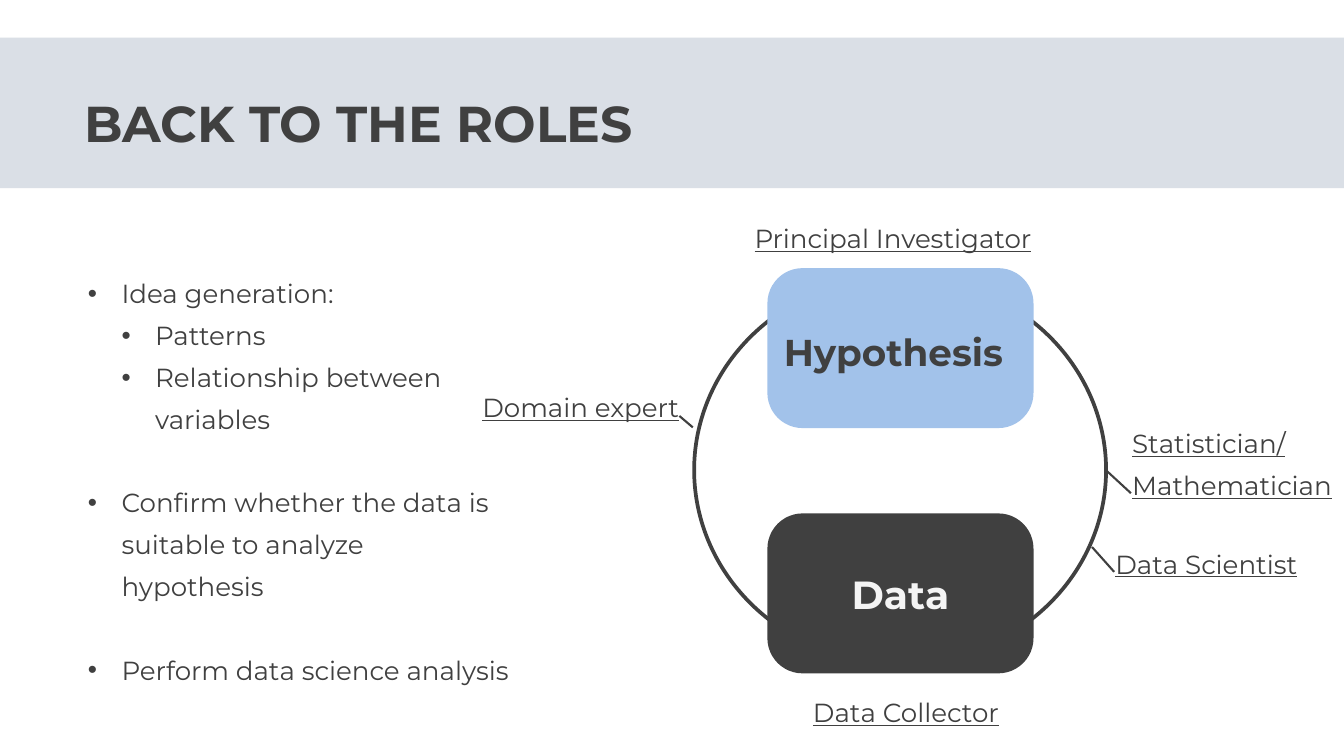
import pptx
import pptx.dml.color
import pptx.enum.shapes
import pptx.enum.text
import pptx.oxml.ns
import pptx.util
from lxml import etree
from pptx.util import Inches

FONT = "Montserrat"
DARK = "404040"
SHAPES = pptx.enum.shapes.MSO_SHAPE
ALIGN = pptx.enum.text.PP_ALIGN


def rgb(value):
    """Turn a hex string into a colour."""
    return pptx.dml.color.RGBColor.from_string(value)


def add_tag(parent, tag, **attributes):
    """Append a drawing element to a parent element."""
    return etree.SubElement(parent, pptx.oxml.ns.qn(tag), attributes)


def add_shape(page, kind, place, fill=None, line=None, opacity=None):
    """Draw a preset shape with an optional fill, outline and opacity."""
    shape = page.shapes.add_shape(kind, *map(Inches, place))
    shape.shadow.inherit = False
    if fill:
        shape.fill.solid()
        shape.fill.fore_color.rgb = rgb(fill)
    else:
        shape.fill.background()
    if line:
        shape.line.color.rgb = rgb(line)
        shape.line.width = pptx.util.Pt(4)
    else:
        shape.line.fill.background()
    if opacity:
        color = shape.fill._xPr.find(".//" + pptx.oxml.ns.qn("a:srgbClr"))
        add_tag(color, "a:alpha", val=str(opacity * 1000))
    return shape


def add_box(page, place, inset=True):
    """Add a wrapping text box and return its text frame."""
    frame = page.shapes.add_textbox(*map(Inches, place)).text_frame
    frame.word_wrap = True
    if not inset:
        frame.margin_left = frame.margin_right = 0
        frame.margin_top = frame.margin_bottom = 0
    return frame


def style(para, size, spacing, color=DARK, bold=False, underline=False, align=ALIGN.LEFT):
    """Format a paragraph and its runs."""
    para.alignment = align
    para.line_spacing = pptx.util.Pt(spacing)
    for span in para.runs:
        span.font.name = FONT
        span.font.size = pptx.util.Pt(size)
        span.font.color.rgb = rgb(color)
        span.font.bold = bold
        span.font.underline = underline


def add_heading(page, text, place, size, spacing, color=DARK, align=ALIGN.CENTER):
    """Write one bold line without insets."""
    frame = add_box(page, place, inset=False)
    frame.text = text
    style(frame.paragraphs[0], size, spacing, color, bold=True, align=align)


def add_stage(page, top, fill, text, text_place, size, color):
    """Draw a rounded stage of the cycle with its name."""
    block = add_shape(page, SHAPES.ROUNDED_RECTANGLE, (11.42, top, 3.96, 2.38), fill)
    block.adjustments[0] = 0.22
    add_heading(page, text, text_place, size, 51.2, color)


def add_label(page, text, place):
    """Write an underlined role name."""
    frame = add_box(page, place)
    frame.text = text
    for para in frame.paragraphs:
        style(para, 28, 44.8, underline=True)


def add_bullets(page, items, place):
    """Write bulleted paragraphs given as level, gap before and text."""
    frame = add_box(page, place)
    for index, (level, gap, text) in enumerate(items):
        para = frame.paragraphs[0] if index == 0 else frame.add_paragraph()
        para.text = text
        para.level = level
        style(para, 28, 44.8)
        if gap:
            para.space_before = pptx.util.Pt(gap)
        properties = para._p.get_or_add_pPr()
        properties.set("marL", str(Inches(0.5 * (level + 1))))
        properties.set("indent", str(Inches(-0.5)))
        add_tag(properties, "a:buFont", typeface="Arial")
        add_tag(properties, "a:buChar", char="•")


def add_pointer(page, ends):
    """Draw a short line between the cycle and a role."""
    line = page.shapes.add_connector(
        pptx.enum.shapes.MSO_CONNECTOR.STRAIGHT, *map(Inches, ends))
    line.line.color.rgb = rgb(DARK)
    line.line.width = pptx.util.Pt(2.25)
    add_tag(line._element.spPr, "a:effectLst")


def main():
    """Build the slide and save it."""
    deck = pptx.Presentation()
    deck.slide_width, deck.slide_height = Inches(20), Inches(11.25)
    page = deck.slides.add_slide(deck.slide_layouts[6])

    add_shape(page, SHAPES.RECTANGLE, (0, 0.56, 20, 2.24), "D3D9E2", opacity=84)
    add_shape(page, SHAPES.OVAL, (10.33, 4.11, 6.13, 5.77), line=DARK)
    add_stage(page, 3.99, "A2C2EA", "Hypothesis", (11.56, 4.85, 3.47, 0.68), 40, DARK)
    add_stage(page, 7.64, DARK, "Data", (11.99, 8.47, 2.82, 0.68), 42, "F4F4F4")
    add_heading(page, "BACK TO THE ROLES", (1.25, 1.18, 13.62, 1.04), 54, 78.1,
                align=ALIGN.LEFT)

    add_bullets(page, [
        (0, 0, "Idea generation:"),
        (1, 0, "Patterns"),
        (1, 0, "Relationship between variables"),
        (0, 44.8, "Confirm whether the data is suitable to analyze hypothesis"),
        (0, 44.8, "Perform data science analysis"),
    ], (1.21, 3.93, 6.49, 5.62))

    for text, place in [
        ("Data Collector", (12, 10.16, 3.03, 0.7)),
        ("Principal Investigator", (11.13, 3.11, 4.51, 0.67)),
        ("Statistician/\nMathematician", (16.75, 6.16, 3.25, 1.3)),
        ("Data Scientist", (16.5, 7.95, 3.12, 0.67)),
        ("Domain expert", (7.08, 5.62, 3.22, 0.67)),
    ]:
        add_label(page, text, place)

    for ends in [
        (10.11, 6.19, 10.31, 6.36),
        (16.25, 8.14, 16.58, 8.51),
        (16.45, 6.99, 16.83, 7.34),
    ]:
        add_pointer(page, ends)

    deck.save("out.pptx")


if __name__ == "__main__":
    main()
